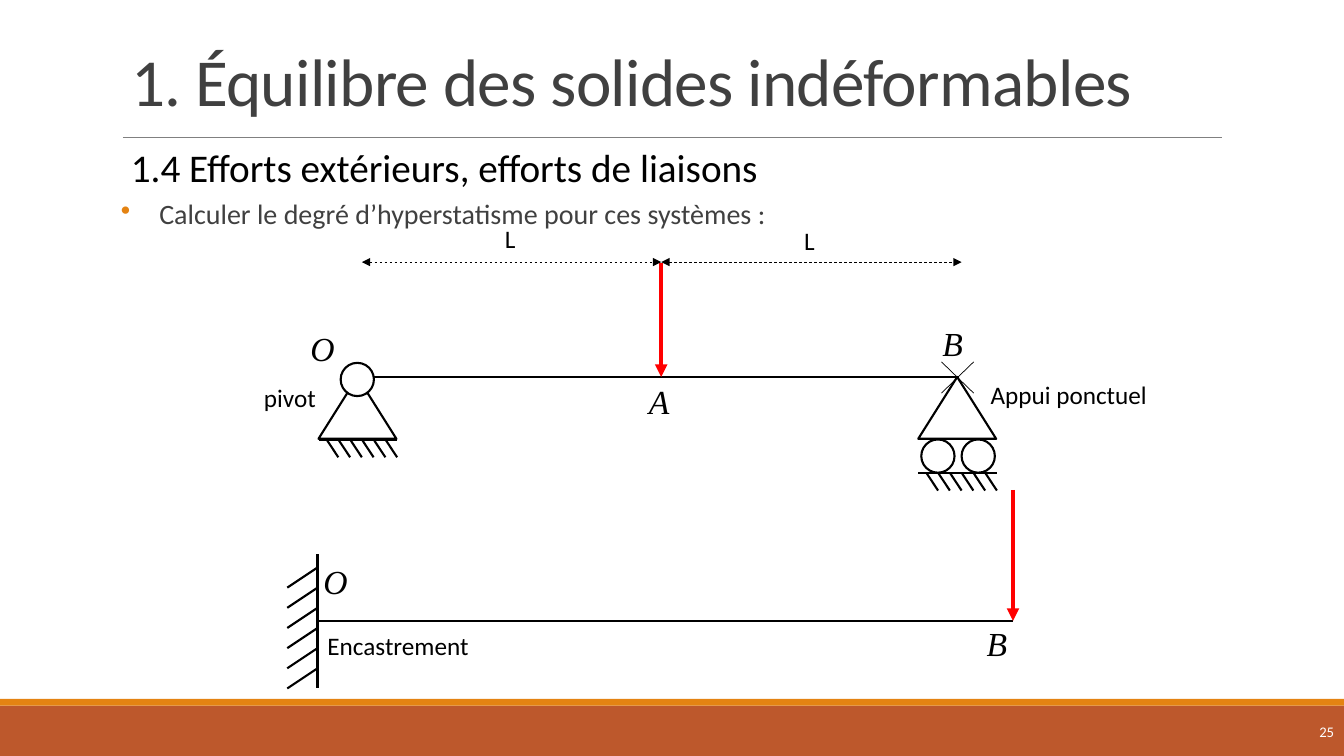
from dataclasses import dataclass

from lxml.etree import SubElement as Sub
from pptx import Presentation
from pptx.dml.color import RGBColor as Rgb
from pptx.enum.dml import MSO_LINE as Dash
from pptx.enum.shapes import MSO_CONNECTOR as Conn, MSO_SHAPE as Kind
from pptx.enum.text import MSO_ANCHOR as Anchor, MSO_AUTO_SIZE as Auto, PP_ALIGN as Align
from pptx.oxml.ns import qn
from pptx.util import Inches, Pt


@dataclass(frozen=True)
class Theme:
    sans: str = "Calibri"
    serif: str = "Times New Roman"
    ink: str = "000000"
    gray: str = "404040"
    rule: str = "808080"
    white: str = "FFFFFF"
    rust: str = "BD582C"
    amber: str = "E48312"
    red: str = "FF0000"
    title: float = 48
    head: float = 28
    point: float = 24
    body: float = 20
    label: float = 18
    num: float = 10.5
    thin: float = 0.5
    beam: float = 1.5
    force: float = 3


T = Theme()
COLS = 40
WIDE, HIGH = Inches(40 / 3), Inches(7.5)
CELL = WIDE / COLS  # square grid: 40 columns by 22.5 rows


def grid(*cells):
    return [round(n * CELL) for n in cells]


# Text
def style(para, size, color=T.ink, name=T.sans, italic=False):
    font = para.font
    font.size, font.name, font.italic = Pt(size), name, italic
    font.color.rgb = Rgb.from_string(color)


def text(slide, words, box, size, color=T.ink, name=T.sans, italic=False):
    frame = slide.shapes.add_textbox(*grid(*box)).text_frame
    frame.word_wrap = True
    frame.text = words
    style(frame.paragraphs[0], size, color, name, italic)
    return frame


def label(slide, words, x, y, w=2):
    text(slide, words, (x, y, w, 1.32), T.label)


def point(slide, name, x, y):
    text(slide, name, (x, y, 1.5, 1.65), T.point, name=T.serif, italic=True)


def title(slide, words):
    shape = slide.shapes.title
    shape.left, shape.top, shape.width, shape.height = grid(3.6, 0.93, 33, 2.79)
    frame = shape.text_frame
    frame.text = words
    frame.auto_size, frame.vertical_anchor = Auto.NONE, Anchor.BOTTOM
    para = frame.paragraphs[0]
    para.alignment, para.line_spacing = Align.LEFT, 0.85
    style(para, T.title, T.gray)
    para.runs[0].font._element.set("spc", "-50")


def bullet(slide, words, box):
    frame = text(slide, words, box, T.body, T.gray)
    frame.margin_left = frame.margin_right = 0
    para = frame.paragraphs[0]
    para.alignment, para.line_spacing = Align.JUSTIFY, 0.9
    para.space_before, para.space_after = Pt(0), Pt(2)
    props = para._p.get_or_add_pPr()
    props.set("marL", str(Inches(0.38)))
    props.set("indent", str(-Inches(0.38)))
    tint = Sub(props, qn("a:buClr"))
    Sub(tint, qn("a:srgbClr"), val=T.amber)
    Sub(props, qn("a:buChar"), char="•")
    props.append(props.find(qn("a:defRPr")))


# Shapes and lines
def shape(slide, kind, box, fill=None, line=None):
    item = slide.shapes.add_shape(kind, *grid(*box))
    item.shadow.inherit = False
    if fill:
        item.fill.solid()
        item.fill.fore_color.rgb = Rgb.from_string(fill)
    else:
        item.fill.background()
    if line:
        item.line.color.rgb = Rgb.from_string(line)
        item.line.width = Pt(T.beam)
    else:
        item.line.fill.background()


def line(slide, x1, y1, x2, y2, color=T.ink, width=T.beam, dash=None, ends=()):
    item = slide.shapes.add_connector(Conn.STRAIGHT, *grid(x1, y1, x2, y2))
    item.line.color.rgb = Rgb.from_string(color)
    item.line.width = Pt(width)
    if dash:
        item.line.dash_style = dash
    for end in ends:
        Sub(item.line._get_or_add_ln(), qn("a:" + end), type="triangle")
    Sub(item._element.spPr, qn("a:effectLst"))


def force(slide, x, top, tip):
    line(slide, x, top, x, tip, T.red, T.force, ends=["tailEnd"])


def span(slide, x1, x2, y):
    line(slide, x1, y, x2, y, width=T.thin, dash=Dash.DASH, ends=["headEnd", "tailEnd"])


def circle(slide, x, y, fill=None):
    shape(slide, Kind.OVAL, (x, y, 0.99, 0.99), fill, T.ink)


def cone(slide, x, y):
    shape(slide, Kind.ISOSCELES_TRIANGLE, (x, y, 2.32, 1.84), line=T.ink)


def ground(slide, x, y):
    line(slide, x, y, x + 2.34, y)
    for i in range(6):
        left = x + 0.24 + 0.35 * i
        line(slide, left, y, left + 0.35, y + 0.53)


def wall(slide, x, top, foot):
    line(slide, x, top, x, foot)
    step = 0.6
    for i in range(6):
        y = foot - step * i
        line(slide, x, y - step, x - 0.9, y)


# Parts of the slide
def frame(slide):
    shape(slide, Kind.RECTANGLE, (0, 21, COLS, 1.5), T.rust)
    shape(slide, Kind.RECTANGLE, (0, 20.8, COLS, 0.2), T.amber)
    line(slide, 3.66, 4.08, 36.36, 4.08, T.rule, T.thin)
    title(slide, "1. Équilibre des solides indéformables")
    num = text(slide, "25", (35.7, 21.18, 4.3, 1.2), T.num, T.white)
    num.vertical_anchor = Anchor.MIDDLE
    num.paragraphs[0].alignment = Align.RIGHT
    text(slide, "1.4 Efforts extérieurs, efforts de liaisons", (3.6, 4.11, 20.4, 1.71), T.head)
    bullet(slide, "Calculer le degré d’hyperstatisme pour ces systèmes :", (3.6, 5.82, 32.6, 2.22))


def simple(slide):
    left, right, mid, y = 9.48, 27.33, 19.68, 11.22
    line(slide, 10.65, y, 28.53, y)
    # Pinned support
    cone(slide, left, y)
    circle(slide, 10.14, 10.8, T.white)
    ground(slide, left, 13.08)
    # Roller support
    cone(slide, right, y)
    for x in (27.42, 28.62):
        circle(slide, x, 13.08)
    ground(slide, right, 14.07)
    line(slide, 28.02, 10.77, 28.98, 11.7, width=T.thin)
    line(slide, 28.02, 11.7, 28.98, 10.77, width=T.thin)
    # Load and lengths
    force(slide, mid, 7.83, y)
    span(slide, 10.77, mid, 7.8)
    span(slide, mid, 28.62, 7.8)
    label(slide, "L", 14.73, 6.51)
    label(slide, "L", 23.64, 6.57)
    label(slide, "pivot", 7.56, 11.22, 2.4)
    label(slide, "Appui ponctuel", 29.19, 11.13, 5.82)
    point(slide, "O", 8.94, 9.6)
    point(slide, "B", 27.75, 9.45)
    point(slide, "A", 19.02, 11.19)


def fixed(slide):
    left, right, y = 9.45, 30.15, 18.48
    line(slide, left, y, right, y)
    wall(slide, left, 16.5, 20.49)
    force(slide, right, 14.58, y)
    label(slide, "Encastrement", left, 18.6, 6.15)
    point(slide, "O", 9.33, 16.56)
    point(slide, "B", 29.07, 18.39)


def main():
    deck = Presentation()
    deck.slide_width, deck.slide_height = WIDE, HIGH
    slide = deck.slides.add_slide(deck.slide_layouts[5])
    frame(slide)
    fixed(slide)
    simple(slide)
    deck.save("out.pptx")


if __name__ == "__main__":
    main()
